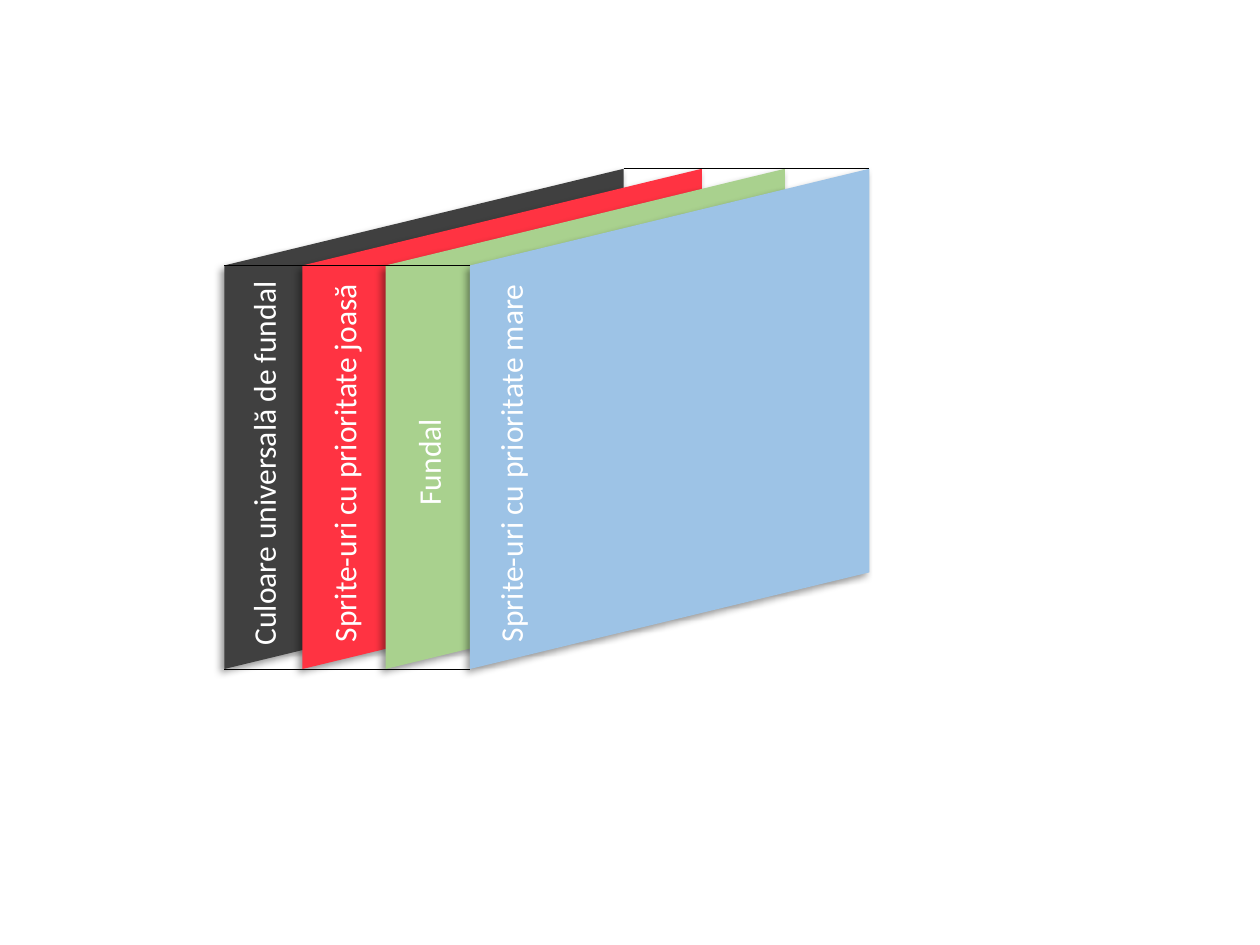
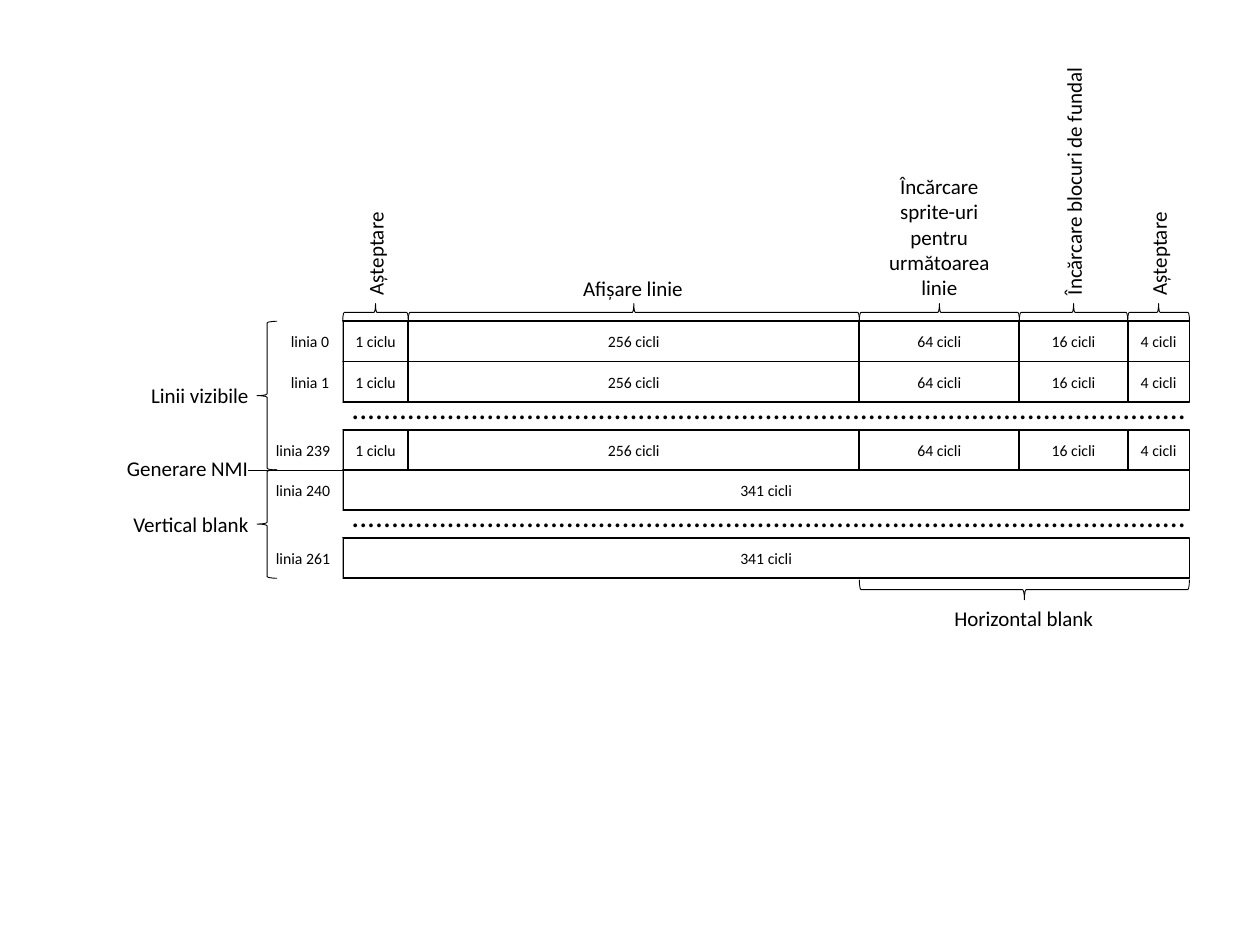
import pptx
import pptx.util
import pptx.dml.color
import pptx.enum.shapes
import pptx.enum.text
import pptx.oxml
import pptx.oxml.ns

Inches, Pt = pptx.util.Inches, pptx.util.Pt
Kind = pptx.enum.shapes.MSO_SHAPE
Align = pptx.enum.text.PP_ALIGN
Anchor = pptx.enum.text.MSO_ANCHOR
Fit = pptx.enum.text.MSO_AUTO_SIZE

FONT = "Calibri"
COLORS = {"ink": "000000", "paper": "FFFFFF", "dark": "404040",
          "red": "FF3342", "green": "A9D18E", "blue": "9DC3E6"}


# Shared helpers: a box is (left, top, width, height) in inches
def tint(name):
    return pptx.dml.color.RGBColor.from_string(COLORS[name])


def around(mid, center, width, height):
    return mid - width / 2, center - height / 2, width, height


def effects(shape, inner=""):
    shape.element.spPr.append(pptx.oxml.parse_xml(
        f'<a:effectLst {pptx.oxml.ns.nsdecls("a")}>{inner}</a:effectLst>'))


def write(frame, text, size=12, color="ink", align=None, wrap=False):
    frame.word_wrap = wrap
    para = frame.paragraphs[0]
    para.alignment = align
    run = para.add_run()
    run.text = text
    run.font.name, run.font.size = FONT, Pt(size)
    run.font.color.rgb = tint(color)


def label(slide, text, box, turn=0, **style):
    item = slide.shapes.add_textbox(*map(Inches, box))
    item.rotation = turn
    write(item.text_frame, text, **style)
    item.text_frame.auto_size = Fit.SHAPE_TO_FIT_TEXT


def draw(slide, kind, box, fill=None, line=0, turn=0):
    item = slide.shapes.add_shape(kind, *map(Inches, box))
    item.rotation = turn
    item.shadow.inherit = False
    if fill:
        item.fill.solid()
        item.fill.fore_color.rgb = tint(fill)
    else:
        item.fill.background()
    if line:
        item.line.color.rgb = tint("ink")
        item.line.width = Pt(line)
    else:
        item.line.fill.background()
    return item


def rule(slide, left, right, top):
    item = slide.shapes.add_connector(
        pptx.enum.shapes.MSO_CONNECTOR.STRAIGHT,
        *map(Inches, (left, top, right, top)))
    item.line.color.rgb = tint("ink")
    item.line.width = Pt(0.5)
    effects(item)


# Slide 1: stacked picture layers
SHADE = ('<a:outerShdw blurRad="50800" dist="38100" dir="8100000" '
         'algn="tr" rotWithShape="0"><a:srgbClr val="000000">'
         '<a:alpha val="40000"/></a:srgbClr></a:outerShdw>')

# text, colour, offset of the layer, middle of its text, text length
LAYERS = [
    ("Culoare universală de fundal", "dark", 0, 0.31, 3.12),
    ("Sprite-uri cu prioritate joasă", "red", 0.62, 0.95, 3.07),
    ("Fundal", "green", 1.28, 1.62, 0.9),
    ("Sprite-uri cu prioritate mare", "blue", 1.95, 2.27, 3.07),
]


def layer(slide, color, box):
    left, top, width, height = box
    item = draw(slide, Kind.PARALLELOGRAM,
                around(left + width / 2, top + height / 2, height, width),
                fill=color, turn=270)
    item.element.spPr.get_or_add_xfrm().set("flipV", "1")
    item.adjustments[0] = 0.242
    item.element.spPr.remove(
        item.element.spPr.find(pptx.oxml.ns.qn("a:effectLst")))
    effects(item, SHADE)


def stack(slide, box):
    left, top, width, height = box
    span = LAYERS[-1][2]
    for text, color, step, mid, size in LAYERS:
        layer(slide, color, (left + step, top, width - span, height))
    # Depth edges
    slant = 0.77
    rule(slide, left, left + span, top + slant)
    rule(slide, left, left + span, top + height)
    rule(slide, left + width - span, left + width, top)
    for text, color, step, mid, size in LAYERS:
        label(slide, text, around(left + mid, top + 2.32, size, 0.4),
              turn=270, size=18, color="paper")


# Slide 2: timing of the screen lines
PARTS = ["1 ciclu", "256 cicli", "64 cicli", "16 cicli", "4 cicli"]
EDGES = [0, 0.52, 4.1, 5.37, 6.23, 6.72]
ROW = 0.32
# name, top, name width, cells, column edges
LINES = [
    ("linia 0", 0, 0.52, PARTS, EDGES),
    ("linia 1", ROW, 0.52, PARTS, EDGES),
    ("linia 239", 0.86, 0.63, PARTS, EDGES),
    ("linia 240", 1.18, 0.63, ["341 cicli"], [0, EDGES[-1]]),
    ("linia 261", 1.72, 0.63, ["341 cicli"], [0, EDGES[-1]]),
]
# text, width, height, turn
HEADS = [
    ("Așteptare", 0.86, 0.3, 270),
    ("Afișare linie", 1, 0.3, 0),
    ("Încărcare sprite-uri pentru următoarea linie", 1.27, 1.11, 0),
    ("Încărcare blocuri de fundal", 2.02, 0.3, 270),
    ("Așteptare", 0.86, 0.3, 270),
]


def cell(slide, text, box, line=0):
    item = draw(slide, Kind.RECTANGLE, box, fill="paper", line=line)
    frame = item.text_frame
    frame.margin_left = frame.margin_right = 0
    frame.vertical_anchor = Anchor.MIDDLE
    write(frame, text, size=9, align=Align.CENTER, wrap=True)


def brace(slide, box, turn=0):
    draw(slide, Kind.LEFT_BRACE, box, line=0.5, turn=turn)


def grid(slide, left, top):
    for name, down, wide, texts, edges in LINES:
        for text, start, end in zip(texts, edges, edges[1:]):
            cell(slide, text, (left + start, top + down, end - start, ROW),
                 line=1)
        cell(slide, name, (left - wide, top + down, wide, ROW))
    # Skipped lines, in boxes wide enough to hold all dots in one row
    for down in (0.48, 1.34):
        label(slide, "." * 105, (left - 0.03, top + down, 6.95, 0.4),
              size=18, align=Align.LEFT, wrap=True)


def heads(slide, left, top):
    for (text, wide, high, turn), start, end in zip(HEADS, EDGES, EDGES[1:]):
        mid = left + (start + end) / 2
        brace(slide, around(mid, top - 0.07, 0.14, end - start), turn=90)
        rise = wide if turn else high
        wrap = high > 1
        label(slide, text, around(mid, top - 0.11 - rise / 2, wide, high),
              turn=turn, wrap=wrap, align=Align.CENTER if wrap else None)


def notes(slide, left, top):
    # Horizontal blank
    start, end = EDGES[2], EDGES[-1]
    mid = left + (start + end) / 2
    brace(slide, around(mid, top + 2.13, 0.16, end - start), turn=270)
    label(slide, "Horizontal blank", around(mid, top + 2.36, 1.31, 0.3))
    # Groups of lines
    for text, wide, start, end in (("Linii vizibile", 0.98, 0, 1.18),
                                   ("Vertical blank", 1.12, 1.18, 2.04)):
        brace(slide, (left - 0.68, top + start, 0.16, end - start))
        label(slide, text, (left - 0.64 - wide,
                            top + (start + end) / 2 - 0.15, wide, 0.3))
    # Interrupt
    rule(slide, left - 0.75, left, top + 1.18)
    label(slide, "Generare NMI", (left - 1.81, top + 1.02, 1.17, 0.3))


def main():
    deck = pptx.Presentation()
    deck.slide_width, deck.slide_height = Inches(10), Inches(7.5)
    blank = deck.slide_layouts[6]
    stack(deck.slides.add_slide(blank), (1.78, 1.34, 5.12, 3.97))
    chart = deck.slides.add_slide(blank)
    for region in (grid, heads, notes):
        region(chart, 2.72, 2.55)
    deck.save("out.pptx")


if __name__ == "__main__":
    main()
